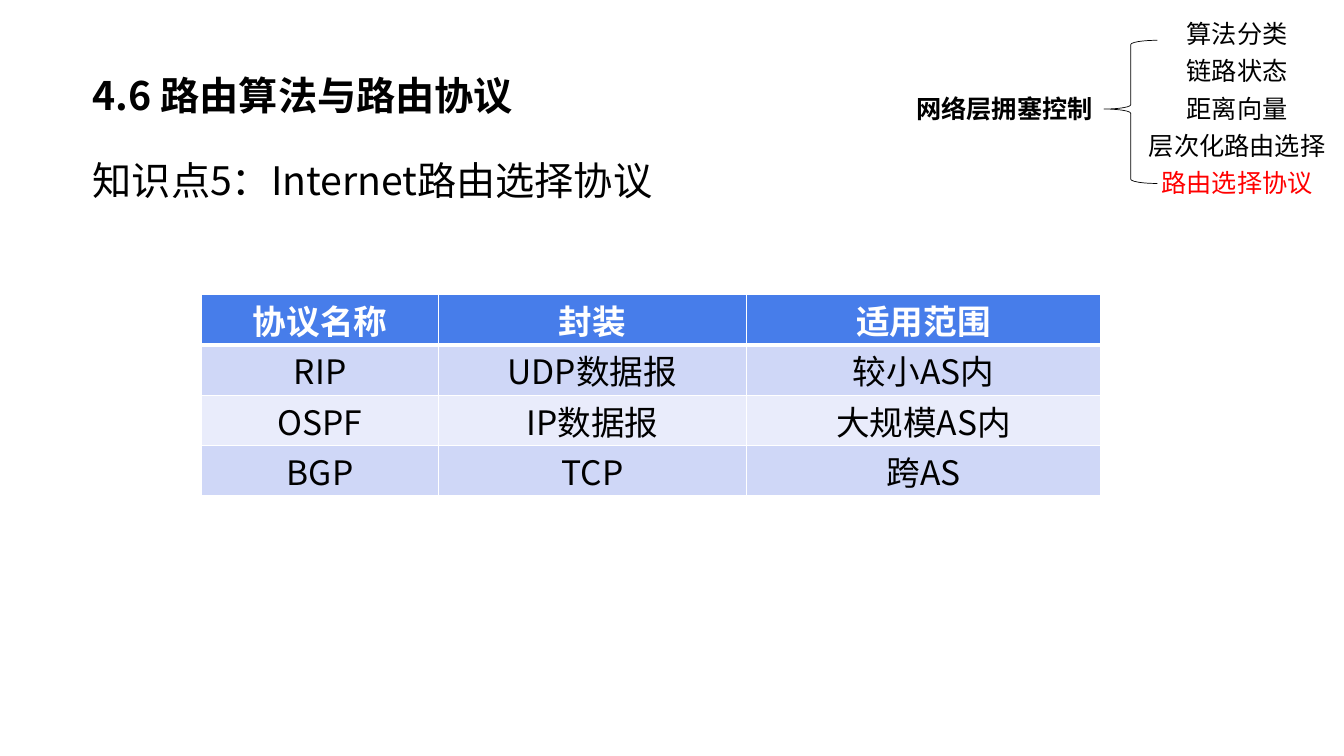
from lxml.etree import SubElement
from pptx import Presentation
from pptx.dml.color import RGBColor
from pptx.enum.shapes import MSO_SHAPE
from pptx.enum.text import MSO_ANCHOR, MSO_AUTO_SIZE, PP_ALIGN
from pptx.oxml.ns import qn
from pptx.util import Inches, Pt

FONT = "Noto Sans CJK SC"
BLACK = RGBColor(0x00, 0x00, 0x00)
WHITE = RGBColor(0xFF, 0xFF, 0xFF)
RED = RGBColor(0xFF, 0x00, 0x00)
HEADER_BLUE = RGBColor(0x47, 0x7D, 0xEA)
ROW_DARK = RGBColor(0xCF, 0xD7, 0xF7)
ROW_LIGHT = RGBColor(0xE9, 0xEC, 0xFB)

PROTOCOLS = [
    ["协议名称", "封装", "适用范围"],
    ["RIP", "UDP数据报", "较小AS内"],
    ["OSPF", "IP数据报", "大规模AS内"],
    ["BGP", "TCP", "跨AS"],
]
COLUMN_WIDTHS = [2.35, 3.05, 3.52]
ROW_HEIGHT = 0.5

TOPICS = ["算法分类", "链路状态", "距离向量", "层次化路由选择", "路由选择协议"]
CURRENT_TOPIC = "路由选择协议"
TOPIC_CENTRE, TOPIC_TOP, TOPIC_PITCH, TOPIC_HEIGHT = 12.27, 0.21, 0.37, 0.33
CHARACTER_WIDTH, SIDE_INSETS = 0.25, 0.2


def place(shape, left, top, width, height):
    shape.left, shape.top = Inches(left), Inches(top)
    shape.width, shape.height = Inches(width), Inches(height)


class SlideBuilder:
    def __init__(self, slide):
        self.slide = slide
        self.overview = slide.shapes.add_group_shape()

    def add_text(self, frame, text, size, color=BLACK, bold=False,
                 align=PP_ALIGN.LEFT, spacing=None):
        paragraph = frame.paragraphs[0]
        paragraph.alignment = align
        if spacing is not None:
            paragraph.line_spacing = spacing
        run = paragraph.add_run()
        run.text = text
        font = run.font
        font.name, font.size, font.bold = FONT, Pt(size), bold
        font.color.rgb = color
        latin = run._r.rPr.find(qn("a:latin"))
        east_asian = latin.makeelement(qn("a:ea"), {"typeface": FONT})
        latin.addnext(east_asian)

    def heading(self, shape, text, box, bold=False, spacing=None):
        """Format a wide left-aligned heading in a placeholder or text box."""
        place(shape, *box)
        frame = shape.text_frame
        frame.word_wrap = True
        frame.auto_size = MSO_AUTO_SIZE.NONE
        frame.vertical_anchor = MSO_ANCHOR.MIDDLE
        frame.margin_left = frame.margin_right = Inches(0.12)
        frame.margin_top = frame.margin_bottom = Inches(0.06)
        self.add_text(frame, text, 28, bold=bold, spacing=spacing)

    def title(self, text, *box):
        self.heading(self.slide.shapes.title, text, box, bold=True)

    def subtitle(self, text, *box):
        shape = self.slide.shapes.add_textbox(0, 0, 0, 0)
        self.heading(shape, text, box, spacing=1.5)

    def label(self, text, left, top, width, height, **style):
        """Add an unwrapped label to the topic overview."""
        shape = self.overview.shapes.add_textbox(0, 0, 0, 0)
        place(shape, left, top, width, height)
        frame = shape.text_frame
        frame.word_wrap = False
        frame.auto_size = MSO_AUTO_SIZE.SHAPE_TO_FIT_TEXT
        self.add_text(frame, text, 18, **style)

    def brace(self, left, top, width, height):
        shape = self.overview.shapes.add_shape(
            MSO_SHAPE.LEFT_BRACE, Inches(left), Inches(top),
            Inches(width), Inches(height))
        shape.adjustments[0], shape.adjustments[1] = 0.08, 0.48
        shape.shadow.inherit = False
        shape.fill.background()
        shape.line.color.rgb = BLACK
        shape.line.width = Pt(0.5)

    def border(self, cell, side, points):
        line = SubElement(cell._tc.get_or_add_tcPr(), qn(f"a:ln{side}"),
                          w=str(Pt(points)))
        fill = SubElement(line, qn("a:solidFill"))
        SubElement(fill, qn("a:srgbClr"), val=str(WHITE))

    def table(self, rows, left, top, widths, row_height):
        table = self.slide.shapes.add_table(
            len(rows), len(widths), Inches(left), Inches(top),
            Inches(sum(widths)), Inches(row_height * len(rows))).table
        for column, width in zip(table.columns, widths):
            column.width = Inches(width)
        for row_index, texts in enumerate(rows):
            table.rows[row_index].height = Inches(row_height)
            header = row_index == 0
            band = ROW_DARK if row_index % 2 else ROW_LIGHT
            edges = {"L": 1, "R": 1, "T": 3 if row_index == 1 else 1,
                     "B": 3 if header else 1}
            for column_index, text in enumerate(texts):
                cell = table.cell(row_index, column_index)
                cell.margin_top, cell.margin_bottom = Inches(0.01), 0
                for side, points in edges.items():
                    self.border(cell, side, points)
                cell.fill.solid()
                cell.fill.fore_color.rgb = HEADER_BLUE if header else band
                self.add_text(cell.text_frame, text, 24,
                              color=WHITE if header else BLACK,
                              bold=header, align=PP_ALIGN.CENTER)


def main():
    presentation = Presentation()
    presentation.slide_width = Inches(13.33)
    presentation.slide_height = Inches(7.5)
    slide = presentation.slides.add_slide(presentation.slide_layouts[5])
    builder = SlideBuilder(slide)

    builder.title("4.6 路由算法与路由协议", 0.8, 0.65, 9.65, 0.59)
    builder.subtitle("知识点5：Internet路由选择协议", 0.8, 1.15, 12.16, 1.04)
    builder.table(PROTOCOLS, 2, 2.92, COLUMN_WIDTHS, ROW_HEIGHT)

    builder.brace(10.95, 0.4, 0.53, 1.42)
    builder.label("网络层拥塞控制", 8.99, 0.88, 1.98, 0.4, bold=True)
    for index, topic in enumerate(TOPICS):
        width = SIDE_INSETS + CHARACTER_WIDTH * len(topic)
        builder.label(topic, TOPIC_CENTRE - width / 2,
                      TOPIC_TOP + TOPIC_PITCH * index, width, TOPIC_HEIGHT,
                      color=RED if topic == CURRENT_TOPIC else BLACK,
                      align=PP_ALIGN.CENTER, spacing=Pt(16))

    # Shapes placed after creation need the group extents worked out again.
    builder.overview.shapes._recalculate_extents()
    presentation.save("out.pptx")


if __name__ == "__main__":
    main()
